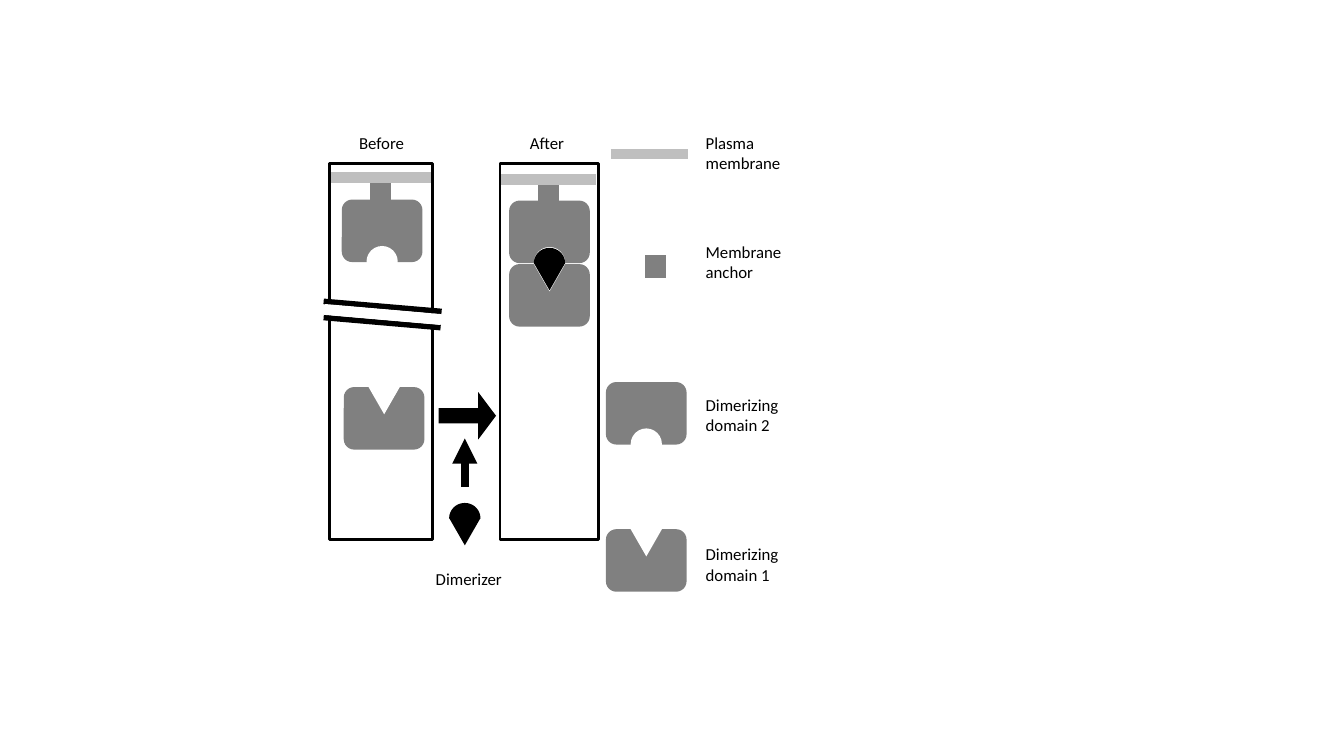
"""Build the slide of chemically induced dimerization at the plasma membrane."""
from math import cos, radians, sin

from lxml import etree
from pptx import Presentation
from pptx import util as u
from pptx.dml.color import RGBColor
from pptx.enum import shapes, text
from pptx.oxml.ns import qn

INK, GREY, PALE, WHITE = "000000", "808080", "BFBFBF", "FFFFFF"
KIND = shapes.MSO_SHAPE
LEFT, MID = text.PP_ALIGN.LEFT, text.PP_ALIGN.CENTER
inch = u.Inches

deck = Presentation()
deck.slide_width, deck.slide_height = inch(13.33), inch(7.5)
slide = deck.slides.add_slide(deck.slide_layouts[6])
pane = slide.shapes


def paint(item, fill=None, line=None, width=0):
    if fill:
        item.fill.solid()
        item.fill.fore_color.rgb = RGBColor.from_string(fill)
    elif hasattr(item, "fill"):
        item.fill.background()
    if line:
        item.line.color.rgb = RGBColor.from_string(line)
        item.line.width = u.Pt(width)
    else:
        item.line.fill.background()
    etree.SubElement(item._element.spPr, qn("a:effectLst"))
    return item


def write(words, x, y, w, h, align=LEFT, size=12, color=INK):
    frame = pane.add_textbox(*map(inch, (x, y, w, h))).text_frame
    frame.word_wrap = False
    frame.auto_size = text.MSO_AUTO_SIZE.SHAPE_TO_FIT_TEXT
    frame.text = words
    for para in frame.paragraphs:
        para.alignment = align
        para.font.name, para.font.size = "Calibri", u.Pt(size)
        para.font.color.rgb = RGBColor.from_string(color)


bars = [
    (3.77, 1.76, 3.77, 2, GREY, 15),
    (3.27, 1.76, 4.29, 1.76, PALE, 7.5),
    (5.44, 1.79, 5.44, 2.03, GREY, 15),
    (4.95, 1.78, 5.91, 1.78, PALE, 7.5),
    (6.06, 1.53, 6.82, 1.53, PALE, 7.5),
    (6.5, 2.53, 6.5, 2.76, GREY, 15),
]
cuts = [
    (3.21, 3.15, 4.37, 3.25, INK, 4),
    (3.21, 2.99, 4.38, 3.09, INK, 4),
    (3.22, 3.07, 4.37, 3.17, WHITE, 7.75),
]
rise = (4.61, 4.83, 4.61, 4.35, INK, 6)
frames = [(3.27, 1.02), (4.96, 0.98)]

for stage in (bars, cuts + [rise]):
    for x1, y1, x2, y2, color, width in stage:
        ends = map(inch, (x1, y1, x2, y2))
        bar = pane.add_connector(shapes.MSO_CONNECTOR.STRAIGHT, *ends)
        paint(bar, line=color, width=width)
    if stage is bars:
        for x, w in frames:
            box = pane.add_shape(KIND.RECTANGLE, *map(inch, (x, 1.62, w, 3.73)))
            paint(box, line=INK, width=2)
etree.SubElement(bar.line._get_or_add_ln(), qn("a:tailEnd"), type="triangle")

W, H, GAP = 0.8, 0.62, 0.31
domains = [
    (3.39, 1.98, KIND.OVAL), (5.05, 1.99, KIND.OVAL), (6.01, 3.79, KIND.OVAL),
    (3.41, 3.84, KIND.ISOSCELES_TRIANGLE), (5.05, 2.62, KIND.ISOSCELES_TRIANGLE),
    (6.01, 5.25, KIND.ISOSCELES_TRIANGLE),
]
for x, y, notch in domains:
    group = pane.add_group_shape().shapes
    paint(group.add_shape(KIND.ROUNDED_RECTANGLE, *map(inch, (x, y, W, H))), GREY)
    top, tall = (y + 0.46, GAP) if notch == KIND.OVAL else (y, 0.27)
    hole = group.add_shape(notch, *map(inch, (x + (W - GAP) / 2, top, GAP, tall)))
    hole.rotation = 180
    paint(hole, WHITE)

for mid, top in [(5.45, 2.46), (4.61, 4.99)]:
    group = pane.add_group_shape().shapes
    base, half = top + 0.15, GAP / 2
    spot = (mid - half, base, GAP, 0.27)
    tip = group.add_shape(KIND.ISOSCELES_TRIANGLE, *map(inch, spot))
    tip.rotation = 180
    paint(tip, INK)
    dome = []
    for step in range(0, 360, 6):
        lift = sin(radians(step))
        depth = 0.15 if lift > 0 else 0.02
        dome.append((inch(mid + half * cos(radians(step))), inch(base - depth * lift)))
    cap = group.build_freeform(*dome[0])
    cap.add_line_segments(dome[1:])
    paint(cap.convert_to_shape(), INK)

arrow = pane.add_shape(KIND.RIGHT_ARROW, *map(inch, (4.35, 3.89, 0.57, 0.47)))
arrow.adjustments[0], arrow.adjustments[1] = 0.317, 0.376
paint(arrow, INK)

for words, x, y, w in [("Before", 3.46, 1.27, 0.65), ("After", 5.15, 1.27, 0.55),
                       ("Dimerizer", 4.22, 5.59, 0.86)]:
    write(words, x, y, w, 0.3, align=MID)
for words, y in [("Plasma\nmembrane", 1.27), ("Membrane\nanchor", 2.35),
                 ("Dimerizing\ndomain 2", 3.87), ("Dimerizing\ndomain 1", 5.35)]:
    write(words, 6.9, y, 0.95, 0.5)

deck.save("out.pptx")
